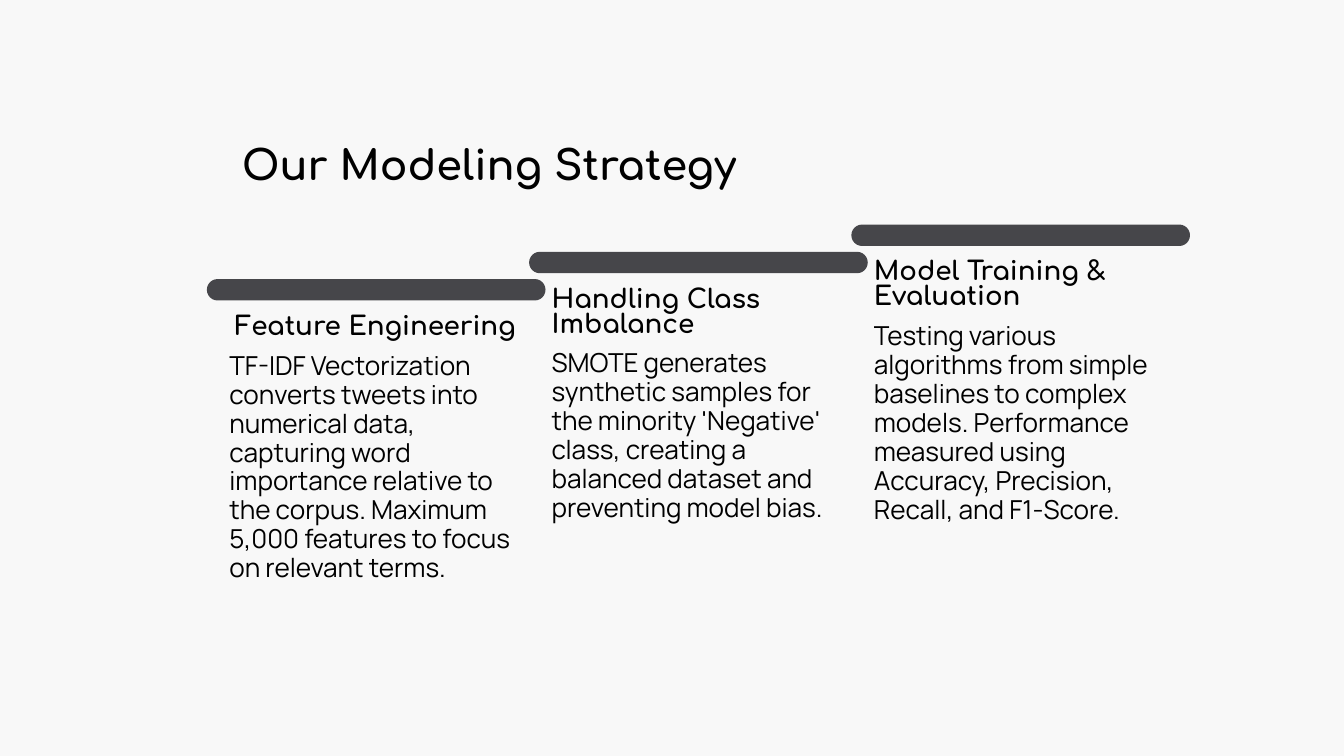
from dataclasses import dataclass

import pptx
import pptx.dml.color
import pptx.enum.shapes
import pptx.enum.text
import pptx.util
from pptx.util import Cm, Pt

INK, BAR, PAPER = "000000", "46464A", "F8F8F8"
HEADING = {"name": "Comfortaa", "size": Pt(28), "bold": True}
TITLE = HEADING | {"size": Pt(44)}
BODY = {"name": "Manrope", "size": Pt(28), "bold": False}

# Each step stands one column to the right and a little higher (cm).
FIRST_LEFT, FIRST_TOP = 7.82, 10.55
STEP_RIGHT, STEP_UP = 12.18, 1.03
BAR_WIDTH, BAR_HEIGHT = 12.8, 0.81
TEXT_INDENT, TEXT_WIDTH, HEADING_DROP = 0.85, 11.28, 1.37


@dataclass
class Step:
    heading: str
    body: str
    heading_height: float = 2.26
    body_drop: float = 3.68
    body_height: float = 6.5
    heading_shift: float = 0


STEPS = [
    Step("Feature Engineering",
         "TF-IDF Vectorization converts tweets into numerical data, capturing word "
         "importance relative to the corpus. Maximum 5,000 features to focus on "
         "relevant terms.",
         heading_height=1.12, body_drop=2.74, body_height=7.8, heading_shift=0.22),
    Step("Handling Class Imbalance",
         "SMOTE generates synthetic samples for the minority 'Negative' class, "
         "creating a balanced dataset and preventing model bias."),
    Step("Model Training & Evaluation",
         "Testing various algorithms from simple baselines to complex models. "
         "Performance measured using Accuracy, Precision, Recall, and F1-Score."),
]


def rgb(value: str) -> pptx.dml.color.RGBColor:
    return pptx.dml.color.RGBColor.from_string(value)


def add_text(s, text: str, left: float, top: float, width: float, height: float,
             font: dict, spacing: float) -> None:
    """Place one paragraph; lengths in cm, line spacing in points."""
    tf = s.shapes.add_textbox(Cm(left), Cm(top), Cm(width), Cm(height)).text_frame
    frame = {"margin_left": 0, "margin_top": 0, "margin_right": 0,
             "margin_bottom": 0, "word_wrap": True,
             "vertical_anchor": pptx.enum.text.MSO_ANCHOR.TOP}
    for key, value in frame.items():
        setattr(tf, key, value)
    p = tf.paragraphs[0]
    p.line_spacing = Pt(spacing)
    r = p.add_run()
    r.text = text
    for key, value in font.items():
        setattr(r.font, key, value)
    r.font.color.rgb = rgb(INK)


def add_bar(s, left: float, top: float) -> None:
    sp = s.shapes.add_shape(pptx.enum.shapes.MSO_SHAPE.ROUNDED_RECTANGLE,
                            Cm(left), Cm(top), Cm(BAR_WIDTH), Cm(BAR_HEIGHT))
    sp.adjustments[0] = 0.5
    sp.shadow.inherit = False
    sp.fill.solid()
    sp.fill.fore_color.rgb = rgb(BAR)
    sp.line.fill.background()


def add_step(s, index: int, step: Step) -> None:
    left = FIRST_LEFT + index * STEP_RIGHT
    top = FIRST_TOP - index * STEP_UP
    text_left = left + TEXT_INDENT
    add_bar(s, left, top)
    add_text(s, step.heading, text_left + step.heading_shift, top + HEADING_DROP,
             TEXT_WIDTH, step.heading_height, HEADING, 27)
    add_text(s, step.body, text_left, top + step.body_drop,
             TEXT_WIDTH, step.body_height, BODY, 31)


def main() -> None:
    prs = pptx.Presentation()
    prs.slide_width, prs.slide_height = Cm(50.8), Cm(28.58)
    s = prs.slides.add_slide(prs.slide_layouts[6])
    s.background.fill.solid()
    s.background.fill.fore_color.rgb = rgb(PAPER)

    add_text(s, "Our Modeling Strategy", 9.14, 5.22, 19.6, 1.9, TITLE, 54)
    for index, step in enumerate(STEPS):
        add_step(s, index, step)
    prs.save("out.pptx")


if __name__ == "__main__":
    main()
